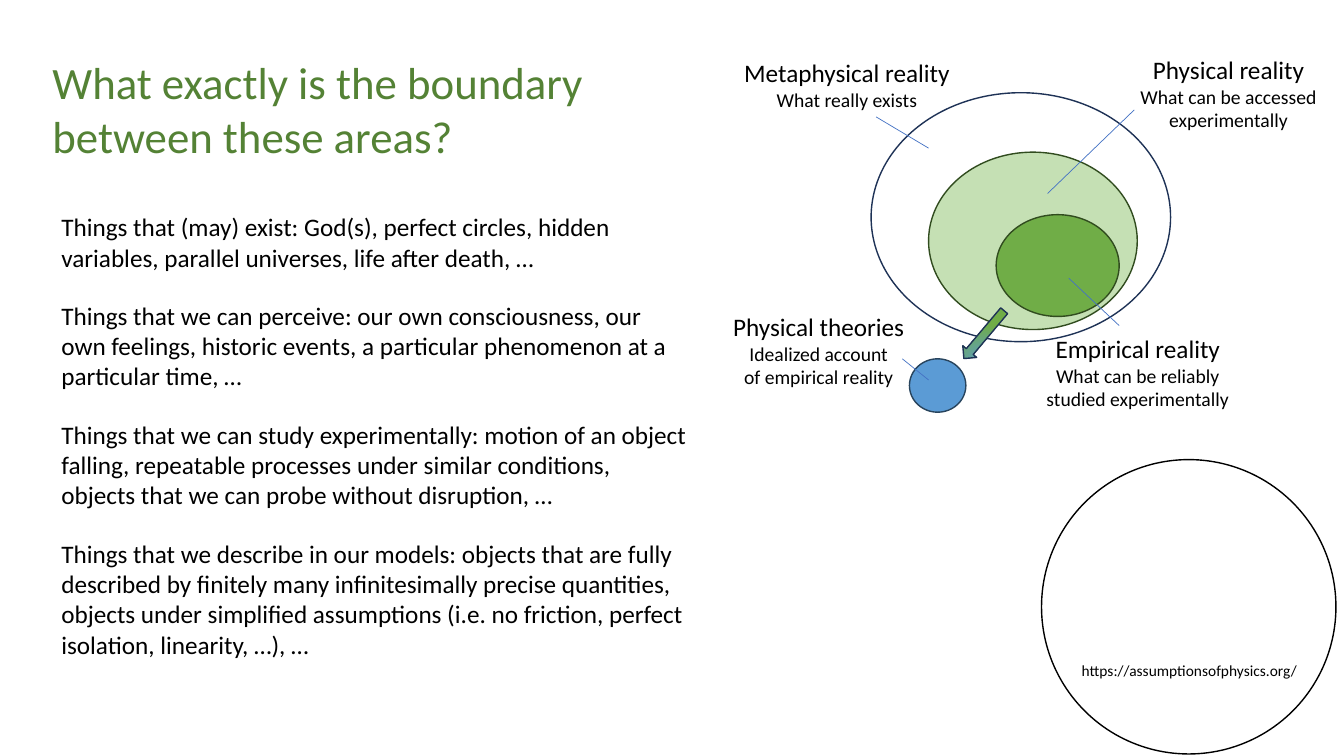
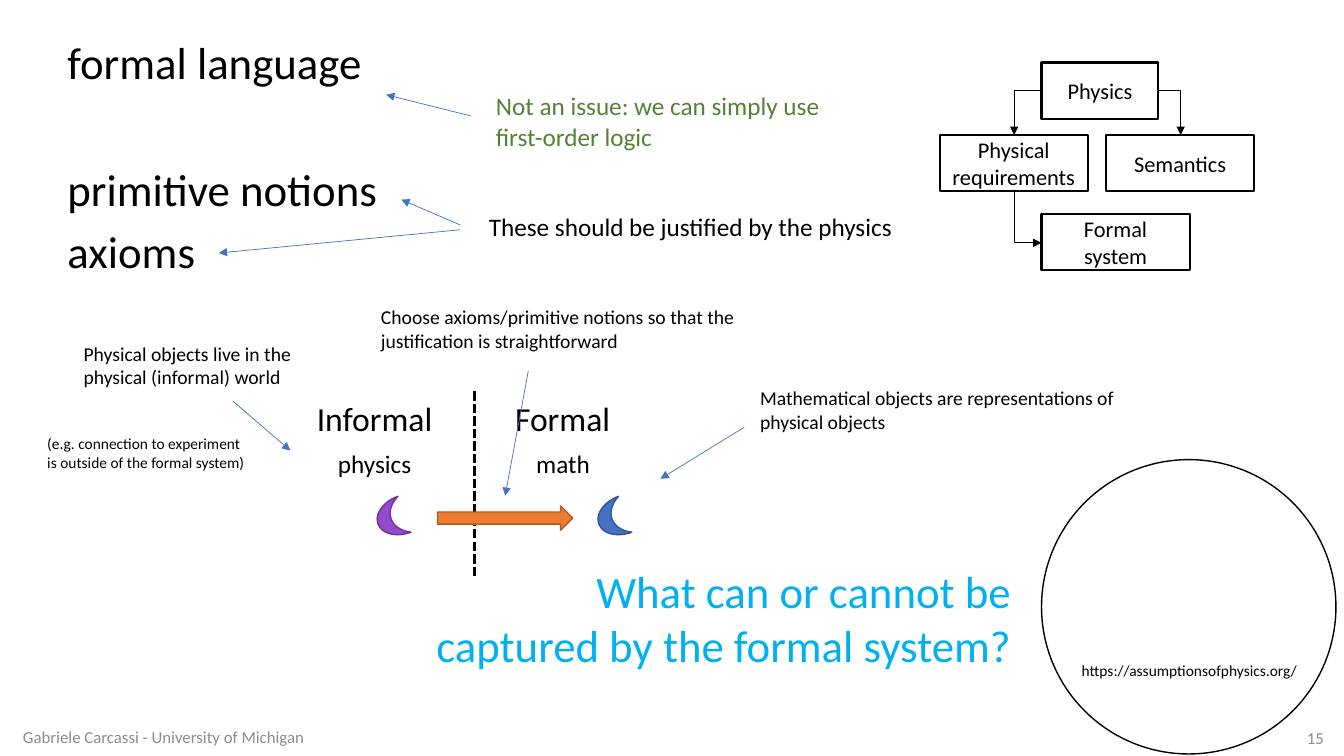
from dataclasses import dataclass
from typing import Optional

from lxml.etree import SubElement
from pptx import Presentation
from pptx.dml.color import RGBColor
from pptx.enum.dml import MSO_LINE
from pptx.enum.shapes import MSO_CONNECTOR, MSO_SHAPE
from pptx.enum.text import MSO_ANCHOR, MSO_AUTO_SIZE, PP_ALIGN
from pptx.oxml import parse_xml
from pptx.oxml.ns import nsdecls, qn
from pptx.util import Inches, Pt

FONT = "Calibri"
BLACK, WHITE, GRAY = "000000", "FFFFFF", "8C8C8C"
DARK_GREEN, GREEN, PALE_GREEN, GREEN_EDGE = "548235", "70AD47", "C5E0B4", "314C1F"
BLUE, SKY_BLUE, CYAN, NAVY = "4472C4", "5B9BD5", "00B0F0", "1E3256"
TITLE_SIZE = 32
LEFT, CENTER, RIGHT = PP_ALIGN.LEFT, PP_ALIGN.CENTER, PP_ALIGN.RIGHT
ELBOW = "bentConnector2"


@dataclass
class Label:
    text: str
    box: tuple
    size: float = 18
    detail_size: Optional[float] = None
    color: str = BLACK
    align: PP_ALIGN = LEFT
    wrap: bool = True
    anchor: MSO_ANCHOR = MSO_ANCHOR.TOP


@dataclass
class Figure:
    kind: MSO_SHAPE
    box: tuple
    fill: Optional[str]
    edge: str
    weight: float = 1
    rotation: float = 0
    text: str = ""


@dataclass
class Link:
    start: tuple
    end: tuple
    color: str = BLUE
    weight: float = 0.5
    arrow: Optional[str] = None
    dashed: bool = False
    geometry: str = "line"


def rgb(color: str) -> RGBColor:
    return RGBColor.from_string(color)


def inches(values: tuple) -> list:
    return [Inches(value) for value in values]


def write_text(frame, text: str, *, size: float = 18, detail_size: Optional[float] = None,
               color: str = BLACK, align: PP_ALIGN = LEFT, wrap: bool = True,
               anchor: MSO_ANCHOR = MSO_ANCHOR.TOP) -> None:
    frame.auto_size = MSO_AUTO_SIZE.NONE
    frame.word_wrap = wrap
    frame.vertical_anchor = anchor
    for index, line in enumerate(text.split("\n")):
        paragraph = frame.add_paragraph() if index else frame.paragraphs[0]
        paragraph.alignment = align
        run = paragraph.add_run()
        run.text = line
        run.font.name = FONT
        run.font.size = Pt(detail_size if index and detail_size else size)
        run.font.color.rgb = rgb(color)


def draw_label(slide, label: Label) -> None:
    text_box = slide.shapes.add_textbox(*inches(label.box))
    write_text(text_box.text_frame, label.text, size=label.size, detail_size=label.detail_size,
               color=label.color, align=label.align, wrap=label.wrap, anchor=label.anchor)


def draw_figure(slide, figure: Figure):
    shape = slide.shapes.add_shape(figure.kind, *inches(figure.box))
    shape.shadow.inherit = False
    shape.rotation = figure.rotation
    if figure.fill:
        shape.fill.solid()
        shape.fill.fore_color.rgb = rgb(figure.fill)
    else:
        shape.fill.background()
    shape.line.color.rgb = rgb(figure.edge)
    shape.line.width = Pt(figure.weight)
    if figure.text:
        write_text(shape.text_frame, figure.text, size=16, align=CENTER,
                   anchor=MSO_ANCHOR.MIDDLE)
    return shape


def draw_link(slide, link: Link) -> None:
    connector = slide.shapes.add_connector(
        MSO_CONNECTOR.STRAIGHT, *inches(link.start + link.end))
    connector.line.color.rgb = rgb(link.color)
    connector.line.width = Pt(link.weight)
    if link.dashed:
        connector.line.dash_style = MSO_LINE.SQUARE_DOT
    properties = connector.element.spPr
    properties.find(qn("a:prstGeom")).set("prst", link.geometry)
    if link.arrow:
        SubElement(properties.find(qn("a:ln")), qn(f"a:{link.arrow}")).set("type", "triangle")
    SubElement(properties, qn("a:effectLst"))


def fill_radially(shape, inner: str, outer: str) -> None:
    shape.fill.gradient()
    for stop, color in zip(shape.fill.gradient_stops, (inner, outer)):
        stop.color.rgb = rgb(color)
    gradient = shape.element.spPr.find(qn("a:gradFill"))
    gradient.replace(gradient.find(qn("a:lin")), parse_xml(
        f'<a:path {nsdecls("a")} path="circle">'
        '<a:fillToRect l="50000" t="130000" r="50000" b="-30000"/></a:path>'))


def add_titled_slide(presentation, title: Label):
    slide = presentation.slides.add_slide(presentation.slide_layouts[5])
    placeholder = slide.shapes.title
    placeholder.left, placeholder.top, placeholder.width, placeholder.height = inches(title.box)
    write_text(placeholder.text_frame, title.text, size=TITLE_SIZE, color=title.color,
               align=title.align)
    draw_figure(slide, Figure(MSO_SHAPE.OVAL, (10.33, 4.56, 2.92, 2.92), None, BLACK))
    draw_label(slide, Label("https://assumptionsofphysics.org/", (10.63, 6.51, 2.35, 0.29),
                            11, wrap=False))
    return slide


def build_boundary_slide(presentation) -> None:
    slide = add_titled_slide(presentation, Label(
        "What exactly is the boundary between these areas?", (0.42, 0.49, 6.16, 1.18),
        color=DARK_GREEN))

    for box, fill, edge in (
        ((9.21, 1.51, 2.07, 1.76), PALE_GREEN, GREEN_EDGE),
        ((8.64, 0.92, 2.97, 2.47), None, NAVY),
        ((9.88, 2.13, 1.22, 1.01), GREEN, GREEN_EDGE),
        ((9.02, 3.56, 0.56, 0.53), SKY_BLUE, "28445D"),
    ):
        draw_figure(slide, Figure(MSO_SHAPE.OVAL, box, fill, edge))

    theory_arrow = draw_figure(slide, Figure(
        MSO_SHAPE.DOWN_ARROW, (9.67, 3.01, 0.18, 0.62), None, NAVY, rotation=40.1))
    fill_radially(theory_arrow, SKY_BLUE, GREEN)

    for start, end in (
        ((10.6, 2.76), (11.1, 3.23)),
        ((8.69, 1.16), (9.21, 1.47)),
        ((8.95, 3.56), (9.21, 3.77)),
        ((10.39, 1.92), (11.25, 1.09)),
    ):
        draw_link(slide, Link(start, end))

    for text, box in (
        ("Metaphysical reality\nWhat really exists", (7.27, 0.52, 2.26, 0.64)),
        ("Empirical reality\nWhat can be reliably\nstudied experimentally",
         (10.27, 3.26, 2.03, 0.88)),
        ("Physical theories\nIdealized account\nof empirical reality", (7.16, 3.04, 1.92, 0.88)),
        ("Physical reality\nWhat can be accessed\nexperimentally", (11.2, 0.49, 1.97, 0.88)),
    ):
        draw_label(slide, Label(text, box, detail_size=14, align=CENTER, wrap=False))

    top = 2.05
    for text, line_count in (
        ("Things that (may) exist: God(s), perfect circles, hidden variables, "
         "parallel universes, life after death, …", 2),
        ("Things that we can perceive: our own consciousness, our own feelings, "
         "historic events, a particular phenomenon at a particular time, …", 3),
        ("Things that we can study experimentally: motion of an object falling, "
         "repeatable processes under similar conditions, objects that we can probe "
         "without disruption, …", 3),
        ("Things that we describe in our models: objects that are fully described by "
         "finitely many infinitesimally precise quantities, objects under simplified "
         "assumptions (i.e. no friction, perfect isolation, linearity, …), …", 4),
    ):
        height = 0.11 + 0.3 * line_count
        draw_label(slide, Label(text, (0.51, top, 6.42, height)))
        top += height + 0.17


def build_formal_system_slide(presentation) -> None:
    slide = add_titled_slide(presentation, Label(
        "What can or cannot be captured by the formal system?", (4.18, 5.54, 5.95, 1.18),
        color=CYAN, align=RIGHT))

    for text, box, align in (
        ("Gabriele Carcassi - University of Michigan", (0.13, 7.18, 6.53, 0.26), LEFT),
        ("15", (12.62, 7.19, 0.61, 0.25), RIGHT),
    ):
        draw_label(slide, Label(text, box, 12, color=GRAY, align=align,
                                anchor=MSO_ANCHOR.MIDDLE))

    for text, top, width in (
        ("formal language", 0.3, 3.15),
        ("primitive notions", 1.56, 3.31),
        ("axioms", 2.17, 1.48),
    ):
        draw_label(slide, Label(text, (0.57, top, width, 0.64), TITLE_SIZE, wrap=False))

    for text, left, top, width in (
        ("Physics", 10.33, 0.62, 1.16),
        ("Formal system", 10.33, 2.12, 1.47),
        ("Physical requirements", 9.32, 1.34, 1.47),
        ("Semantics", 10.97, 1.34, 1.47),
    ):
        draw_figure(slide, Figure(MSO_SHAPE.RECTANGLE, (left, top, width, 0.56), WHITE, BLACK,
                                  1.5, text=text))

    for start, end, arrow in (
        ((10.33, 0.9), (10.06, 1.34), "tailEnd"),
        ((11.49, 0.9), (11.71, 1.34), "tailEnd"),
        ((10.33, 2.41), (10.06, 1.91), "headEnd"),
    ):
        draw_link(slide, Link(start, end, BLACK, arrow=arrow, geometry=ELBOW))

    for text, box, size in (
        ("Informal", (3.04, 3.9, 1.35, 0.5), 24),
        ("Formal", (5.01, 3.9, 1.14, 0.5), 24),
        ("physics", (3.25, 4.4, 0.93, 0.4), 18),
        ("math", (5.22, 4.4, 0.73, 0.4), 18),
    ):
        draw_label(slide, Label(text, box, size, align=CENTER, wrap=False))

    draw_link(slide, Link((4.71, 3.88), (4.71, 5.71), BLACK, 2.25, dashed=True))
    for left, fill, edge in ((5.93, BLUE, "325491"), (3.74, "934BC9", "7030A0")):
        draw_figure(slide, Figure(MSO_SHAPE.MOON, (left, 4.96, 0.28, 0.38), fill, edge,
                                  rotation=339.7))
    draw_figure(slide, Figure(MSO_SHAPE.RIGHT_ARROW, (4.34, 5.02, 1.34, 0.24), "ED7D31",
                              "AF5C24"))

    for label in (
        Label("Not an issue: we can simply use first-order logic", (4.82, 0.85, 3.68, 0.71),
              color=DARK_GREEN),
        Label("These should be justified by the physics", (4.75, 2.05, 4.29, 0.4)),
        Label("Physical objects live in the\nphysical (informal) world",
              (0.73, 3.34, 2.28, 0.57), 14, wrap=False),
        Label("(e.g. connection to experiment is outside of the formal system)",
              (0.37, 4.26, 2.19, 0.47), 11),
        Label("Mathematical objects are representations of physical objects",
              (7.44, 3.78, 3.75, 0.57), 14),
        Label("Choose axioms/primitive notions so that the justification is straightforward",
              (3.68, 2.98, 4.29, 0.57), 14),
    ):
        draw_label(slide, label)

    for start, end in (
        ((4.67, 1.15), (3.83, 0.94)),
        ((4.56, 2.28), (2.17, 2.51)),
        ((4.56, 2.23), (3.98, 1.98)),
        ((2.31, 3.98), (2.88, 4.47)),
        ((7.38, 4.24), (6.55, 4.75)),
        ((5.24, 3.68), (5.01, 4.92)),
    ):
        draw_link(slide, Link(start, end, arrow="tailEnd"))


def main() -> None:
    presentation = Presentation()
    presentation.slide_width, presentation.slide_height = Inches(13.33), Inches(7.5)
    build_boundary_slide(presentation)
    build_formal_system_slide(presentation)
    presentation.save("out.pptx")


if __name__ == "__main__":
    main()
